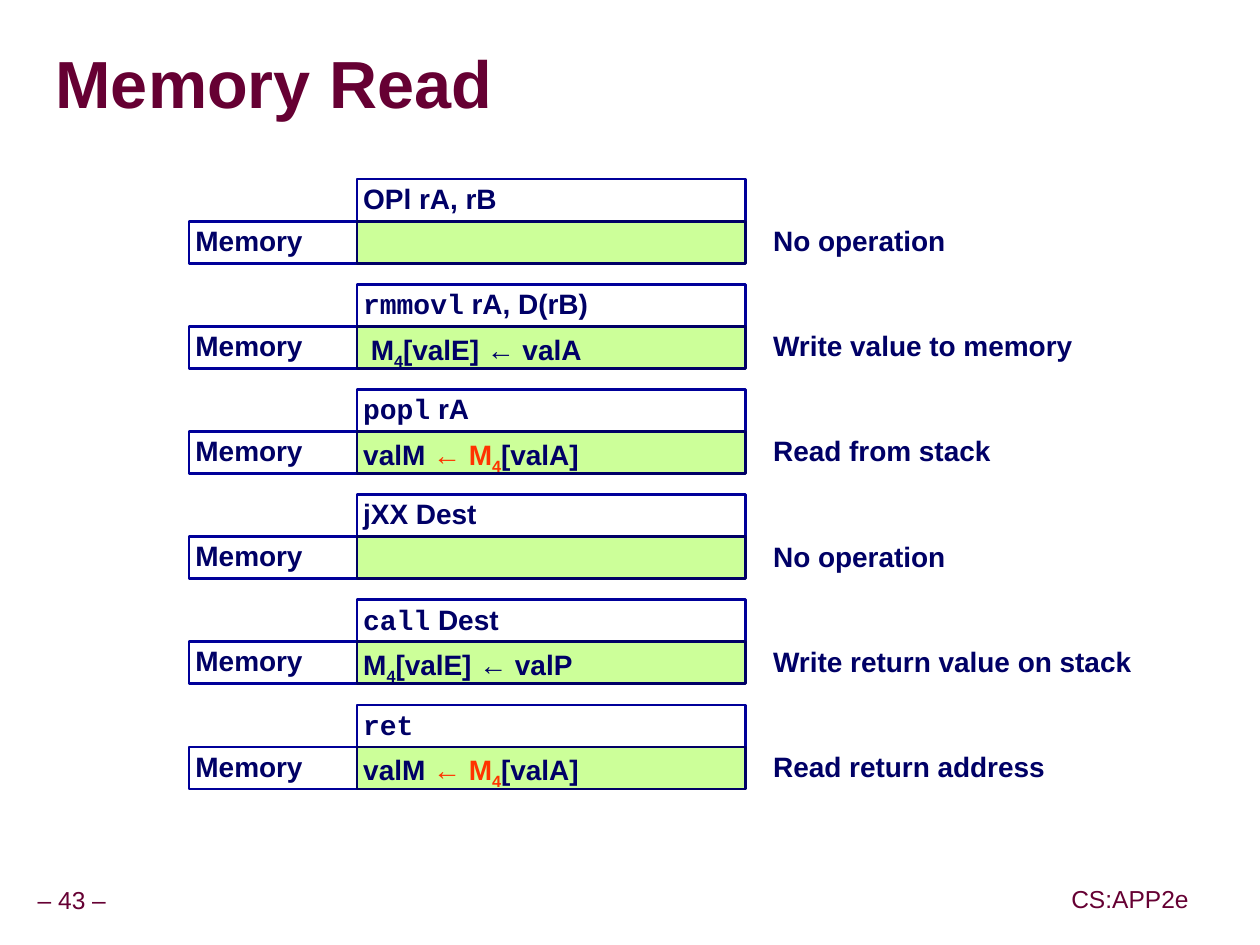
from lxml import etree
from pptx import Presentation
from pptx.dml.color import RGBColor
from pptx.enum.shapes import MSO_SHAPE
from pptx.enum.text import MSO_ANCHOR, MSO_AUTO_SIZE, PP_ALIGN
from pptx.oxml.ns import qn
from pptx.util import Inches, Pt

RECT = MSO_SHAPE.RECTANGLE
TOP, MIDDLE = MSO_ANCHOR.TOP, MSO_ANCHOR.MIDDLE
LEFT, CENTER = PP_ALIGN.LEFT, PP_ALIGN.CENTER
FIXED = MSO_AUTO_SIZE.NONE

COLORS = {"wine": "660033", "navy": "000066", "blue": "000099",
          "lime": "CCFF99", "red": "FF3300", "gray": "999999"}

TITLE = "Memory Read"
STAGE = "Memory"
READ = [("valM ", ""), ("← M", "hot"), ("4", "hot sub"), ("[valA]", "")]
STEPS = [
    ([("OPl rA, rB", "")], [], "No operation"),
    ([("rmmovl", "code"), (" rA, D(rB)", "")],
     [("M", ""), ("4", "sub"), ("[valE] ← valA", "")],
     "Write value to memory"),
    ([("popl", "code"), (" rA", "")], READ, "Read from stack"),
    ([("jXX Dest", "")], [], "No operation"),
    ([("call", "code"), (" Dest", "")],
     [("M", ""), ("4", "sub"), ("[valE] ← valP", "")],
     "Write return value on stack"),
    ([("ret", "code")], READ, "Read return address"),
]
FOOTERS = [("– 43 –", 0.24, 6.99, 0.66), ("CS:APP2e", 8.44, 6.98, 1.04)]

WIDE, HIGH = 9.99, 7.49
ROW = 1 / 3
PITCH = 2.5 * ROW
START = 1.42
STAGE_X, STEP_X, NOTE_X = 1.5, 2.83, 6.08
STEP_W = 3.08
PAD = 0.05
INDENT = {1: 0.06}


def color(name):
    return RGBColor.from_string(COLORS[name])


def style(para, size, tint, bold, align=LEFT, space=0.9):
    para.alignment = align
    para.line_spacing = space
    font = para.font
    font.name, font.size, font.bold = "Arial", Pt(size), bold
    font.color.rgb = color(tint)


def write(shape, runs, anchor=TOP, size=16, tint="navy", bold=True,
          align=LEFT, wrap=True, shift=0):
    frame = shape.text_frame
    frame.margin_left = Inches(PAD + shift)
    frame.margin_right = frame.margin_top = frame.margin_bottom = Inches(PAD)
    frame.vertical_anchor = anchor
    frame.word_wrap = wrap
    para = frame.paragraphs[0]
    style(para, size, tint, bold, align)
    for text, kind in runs:
        run = para.add_run()
        run.text = text
        if "code" in kind:
            run.font.name = "Courier New"
        if "hot" in kind:
            run.font.color.rgb = color("red")
        if "sub" in kind:
            run.font._element.set("baseline", "-25000")


def box(slide, x, y, w, edge, fill=None):
    shape = slide.shapes.add_shape(RECT, *map(Inches, (x, y, w, ROW)))
    shape.shadow.inherit = False
    shape.line.color.rgb = color(edge)
    shape.line.width = Pt(1.5)
    if fill:
        shape.fill.solid()
        shape.fill.fore_color.rgb = color(fill)
    else:
        shape.fill.background()
    return shape


def label(slide, x, y, w, h):
    return slide.shapes.add_textbox(*map(Inches, (x, y, w, h)))


def head(slide):
    title = slide.shapes.title
    title.left, title.top, title.width, title.height = map(
        Inches, (0.44, 0.27, 9.52, 0.85))
    frame = title.text_frame
    frame.margin_left = frame.margin_right = 0
    frame.margin_top = frame.margin_bottom = 0
    frame.vertical_anchor = MIDDLE
    frame.auto_size = FIXED
    para = frame.paragraphs[0]
    style(para, 38, "wine", True, space=0.87)
    run = para.add_run()
    run.text = TITLE
    glow = etree.SubElement(run.font._element, qn("a:effectLst"))
    cast = etree.SubElement(glow, qn("a:outerShdw"), dist="53882",
                            dir="2700000", algn="ctr")
    etree.SubElement(cast, qn("a:srgbClr"), val=COLORS["gray"])


def main():
    deck = Presentation()
    deck.slide_width, deck.slide_height = Inches(WIDE), Inches(HIGH)
    slide = deck.slides.add_slide(deck.slide_layouts[5])
    head(slide)
    for i, (code, action, note) in enumerate(STEPS):
        y = START + i * PITCH
        low = y + ROW
        write(box(slide, STEP_X, y, STEP_W, "blue"), code)
        write(box(slide, STAGE_X, low, STEP_X - STAGE_X, "blue"),
              [(STAGE, "")], MIDDLE)
        cell = box(slide, STEP_X, low, STEP_W, "navy", "lime")
        if action:
            write(cell, action, shift=INDENT.get(i, 0))
        write(label(slide, NOTE_X, low, STEP_W, ROW), [(note, "")])
    for text, x, y, w in FOOTERS:
        write(label(slide, x, y, w, 0.31), [(text, "")], MIDDLE, 14,
              "wine", False, CENTER, False)
    deck.save("out.pptx")


if __name__ == "__main__":
    main()
